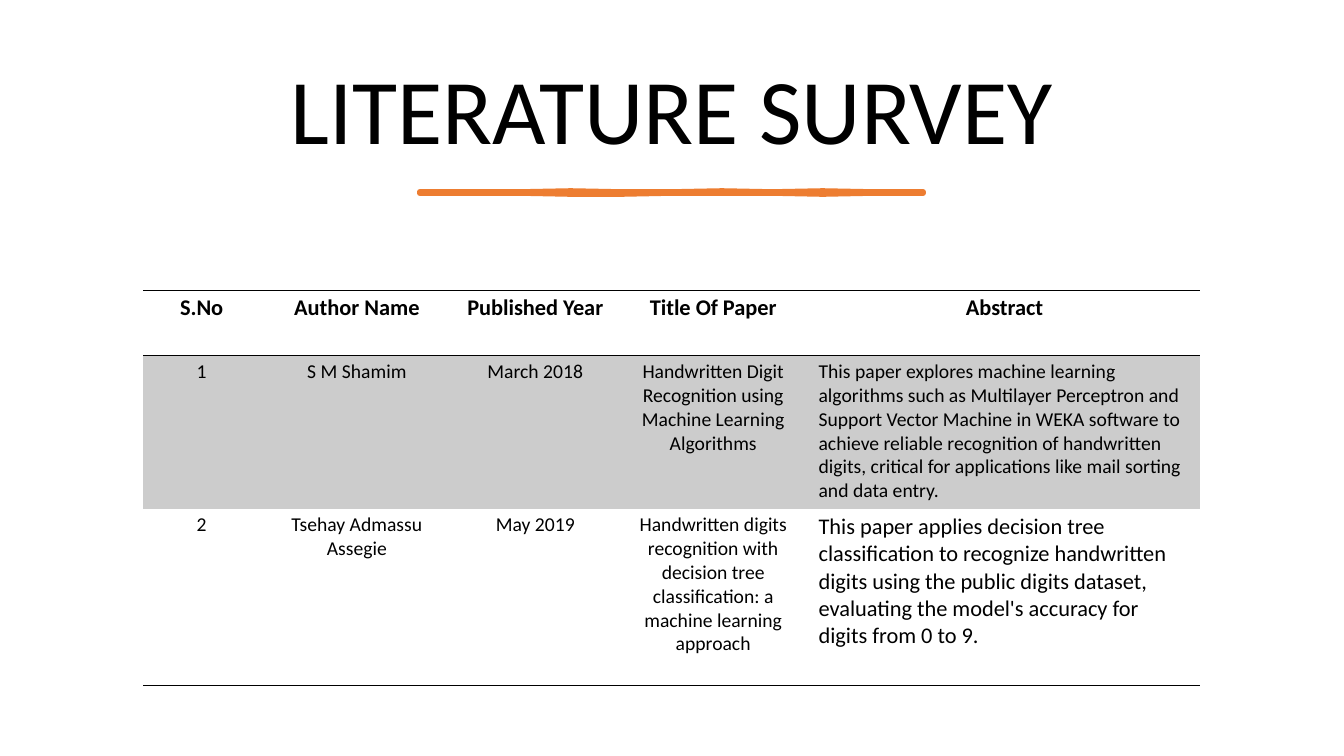
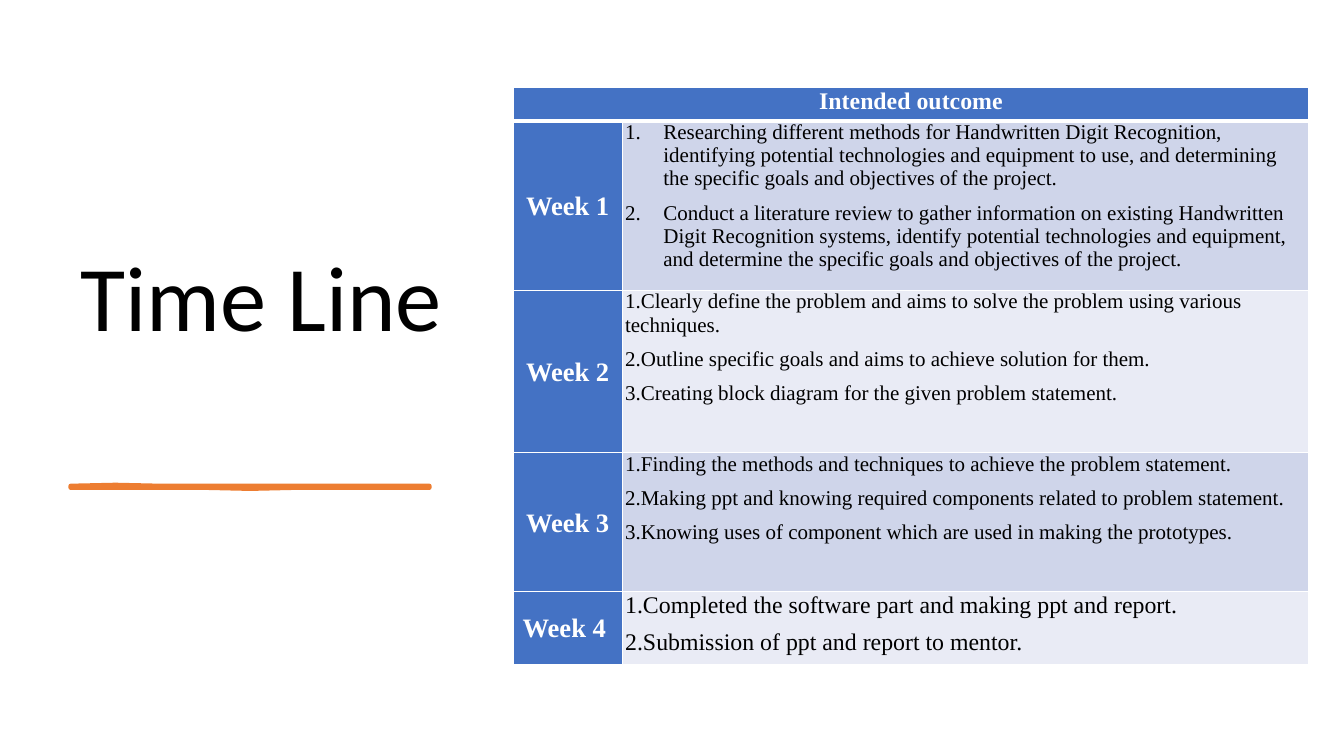
from lxml.etree import SubElement
from pptx import Presentation
from pptx.dml.color import RGBColor
from pptx.enum.text import MSO_ANCHOR, MSO_AUTO_SIZE, PP_ALIGN
from pptx.oxml.ns import qn
from pptx.util import Pt

PX = 9144
BLACK = RGBColor(0x00, 0x00, 0x00)
WHITE = RGBColor(0xFF, 0xFF, 0xFF)
GREY = RGBColor(0xCC, 0xCC, 0xCC)
ORANGE = RGBColor(0xED, 0x7D, 0x31)
BLUE = RGBColor(0x44, 0x72, 0xC4)
BAND_DARK = RGBColor(0xCF, 0xD5, 0xEA)
BAND_LIGHT = RGBColor(0xE9, 0xEB, 0xF5)
SANS = "Calibri"
SERIF = "Times New Roman"
PLAIN_TABLE = "{2D5ABB26-0587-4C30-8999-92F81FD0307C}"


def write_text(frame, lines, font=SANS, size=14, color=BLACK, bold=False,
               align=PP_ALIGN.LEFT, spacing=1.0, after=0, number_indent=0):
    for index, line in enumerate(lines):
        paragraph = frame.paragraphs[0] if index == 0 else frame.add_paragraph()
        paragraph.alignment = align
        paragraph.line_spacing = spacing
        paragraph.space_before = Pt(0)
        paragraph.space_after = Pt(after)
        if number_indent:
            properties = paragraph._p.get_or_add_pPr()
            properties.set("marL", str(number_indent * PX))
            properties.set("indent", str(-number_indent * PX))
            SubElement(properties, qn("a:buFont"), typeface="+mj-lt")
            SubElement(properties, qn("a:buAutoNum"), type="arabicPeriod")
        run = paragraph.add_run()
        run.text = line
        run.font.name = font
        run.font.size = Pt(size)
        run.font.bold = bold
        run.font.color.rgb = color


class Deck:
    def __init__(self):
        self.presentation = Presentation()
        self.presentation.slide_width = 1333 * PX
        self.presentation.slide_height = 750 * PX
        self.slide = None

    def add_slide(self):
        self.slide = self.presentation.slides.add_slide(self.presentation.slide_layouts[5])

    def title(self, text, left, top, width, height, anchor, align):
        shape = self.slide.shapes.title
        shape.left, shape.top = left * PX, top * PX
        shape.width, shape.height = width * PX, height * PX
        frame = shape.text_frame
        frame.word_wrap = True
        frame.auto_size = MSO_AUTO_SIZE.NONE
        frame.vertical_anchor = anchor
        write_text(frame, [text], size=66, align=align, spacing=0.9, after=6)

    def wave(self, left, top, width, upper, lower, weight):
        def edge(offsets):
            step = width / (len(offsets) - 1)
            return [(left + index * step, top + offset) for index, offset in enumerate(offsets)]

        outline = edge(upper) + edge(lower)[::-1]
        builder = self.slide.shapes.build_freeform(
            *(round(value * PX) for value in outline[0]))
        builder.add_line_segments([(x * PX, y * PX) for x, y in outline[1:]], close=True)
        shape = builder.convert_to_shape()
        shape.shadow.inherit = False
        shape.fill.solid()
        shape.fill.fore_color.rgb = ORANGE
        shape.line.color.rgb = ORANGE
        shape.line.width = Pt(weight)

    def table(self, left, top, columns, rows):
        frame = self.slide.shapes.add_table(
            len(rows), len(columns), left * PX, top * PX, sum(columns) * PX, sum(rows) * PX)
        table = frame.table
        table.first_row = table.horz_banding = False
        table._tbl.tblPr.find(qn("a:tableStyleId")).text = PLAIN_TABLE
        for column, width in zip(table.columns, columns):
            column.width = width * PX
        for row, height in zip(table.rows, rows):
            row.height = height * PX
        return table

    def cell(self, cell, lines, borders, fill=None, inset=(9, 4),
             anchor=MSO_ANCHOR.TOP, **text_format):
        cell.margin_left = cell.margin_right = inset[0] * PX
        cell.margin_top = cell.margin_bottom = inset[1] * PX
        cell.vertical_anchor = anchor
        properties = cell._tc.get_or_add_tcPr()
        for side in "LRTB":
            color, width = borders.get(side, (None, 0))
            line = SubElement(properties, qn("a:ln" + side), w=str(Pt(width)))
            if color is None:
                SubElement(line, qn("a:noFill"))
            else:
                solid = SubElement(line, qn("a:solidFill"))
                SubElement(solid, qn("a:srgbClr"), val=str(color))
        if fill is None:
            cell.fill.background()
        else:
            cell.fill.solid()
            cell.fill.fore_color.rgb = fill
        write_text(cell.text_frame, lines, **text_format)


def build_survey(deck):
    deck.add_slide()
    deck.title("LITERATURE SURVEY", 70, 45, 1193, 137, MSO_ANCHOR.MIDDLE, PP_ALIGN.CENTER)
    deck.wave(416, 190, 500,
              [0, 0, 0, -1, 0, 0, -1, 0, -1, 0, 0],
              [2, 2, 2, 3, 3, 2, 2, 2, 3, 2, 2], 3.25)
    papers = [
        ["S.No", "Author Name", "Published Year", "Title Of Paper", "Abstract"],
        ["1", "S M Shamim", "March 2018",
         "Handwritten Digit Recognition using Machine Learning Algorithms",
         "This paper explores machine learning algorithms such as Multilayer Perceptron and "
         "Support Vector Machine in WEKA software to achieve reliable recognition of "
         "handwritten digits, critical for applications like mail sorting and data entry."],
        ["2", "Tsehay Admassu Assegie", "May 2019",
         "Handwritten digits recognition with decision tree classification: "
         "a machine learning approach",
         "This paper applies decision tree classification to recognize handwritten digits "
         "using the public digits dataset, evaluating the model's accuracy for digits "
         "from 0 to 9."],
    ]
    rule = (BLACK, 1)
    borders = [{"T": rule, "B": rule}, {"T": rule}, {"B": rule}]
    table = deck.table(142, 288, [116, 192, 162, 191, 387], [65, 152, 175])
    for row, paper in enumerate(papers):
        for column, text in enumerate(paper):
            abstract = row > 0 and column == 4
            large = row == 0 or (row == 2 and abstract)
            deck.cell(table.cell(row, column), [text], borders[row],
                      fill=GREY if row == 1 else None,
                      size=16 if large else 14, bold=row == 0,
                      align=PP_ALIGN.LEFT if abstract else PP_ALIGN.CENTER)


def build_time_line(deck):
    deck.add_slide()
    deck.title("Time Line", 70, 70, 391, 284, MSO_ANCHOR.BOTTOM, PP_ALIGN.LEFT)
    deck.wave(70, 482, 356,
              [0, -1, 0, 0, 0, 0, 0, 0, 0],
              [2, 2, 2, 2, 3, 2, 2, 2, 2], 3)
    weeks = {
        "Week 1": [
            "Researching different methods for Handwritten Digit Recognition, identifying "
            "potential technologies and equipment to use, and determining the specific goals "
            "and objectives of the project.",
            "Conduct a literature review to gather information on existing Handwritten Digit "
            "Recognition systems, identify potential technologies and equipment, and determine "
            "the specific goals and objectives of the project."],
        "Week 2": [
            "1.Clearly define the problem and aims to solve the problem using various techniques.",
            "2.Outline specific goals and aims to achieve solution for them.",
            "3.Creating block diagram for the given problem statement."],
        "Week 3": [
            "1.Finding the methods and techniques to achieve the problem statement.",
            "2.Making ppt and knowing required components related to problem statement.",
            "3.Knowing uses of component which are used in making the prototypes."],
        "Week 4 ": [
            "1.Completed the software part and making ppt and report.",
            "2.Submission of ppt and report to mentor."],
    }
    grid = dict.fromkeys("LRTB", (WHITE, 1))
    under_header = (WHITE, 3)
    shared = {"inset": (3, 0), "font": SERIF, "after": 8}
    heading = {"fill": BLUE, "color": WHITE, "bold": True, "align": PP_ALIGN.CENTER, **shared}
    table = deck.table(509, 87, [108, 681], [33, 168, 161, 138, 72])
    table.cell(0, 0).merge(table.cell(0, 1))
    deck.cell(table.cell(0, 0), ["Intended outcome"], {**grid, "B": under_header},
              size=17, **heading)
    for row, (week, outcomes) in enumerate(weeks.items(), 1):
        borders = {**grid, "T": under_header} if row == 1 else grid
        deck.cell(table.cell(row, 0), [week], borders, size=19, spacing=1.07,
                  anchor=MSO_ANCHOR.MIDDLE, **heading)
        deck.cell(table.cell(row, 1), outcomes, borders, size=17 if row == 4 else 15,
                  fill=BAND_DARK if row % 2 else BAND_LIGHT,
                  number_indent=38 if row == 1 else 0, **shared)


def main():
    deck = Deck()
    build_survey(deck)
    build_time_line(deck)
    deck.presentation.save("out.pptx")


if __name__ == "__main__":
    main()
